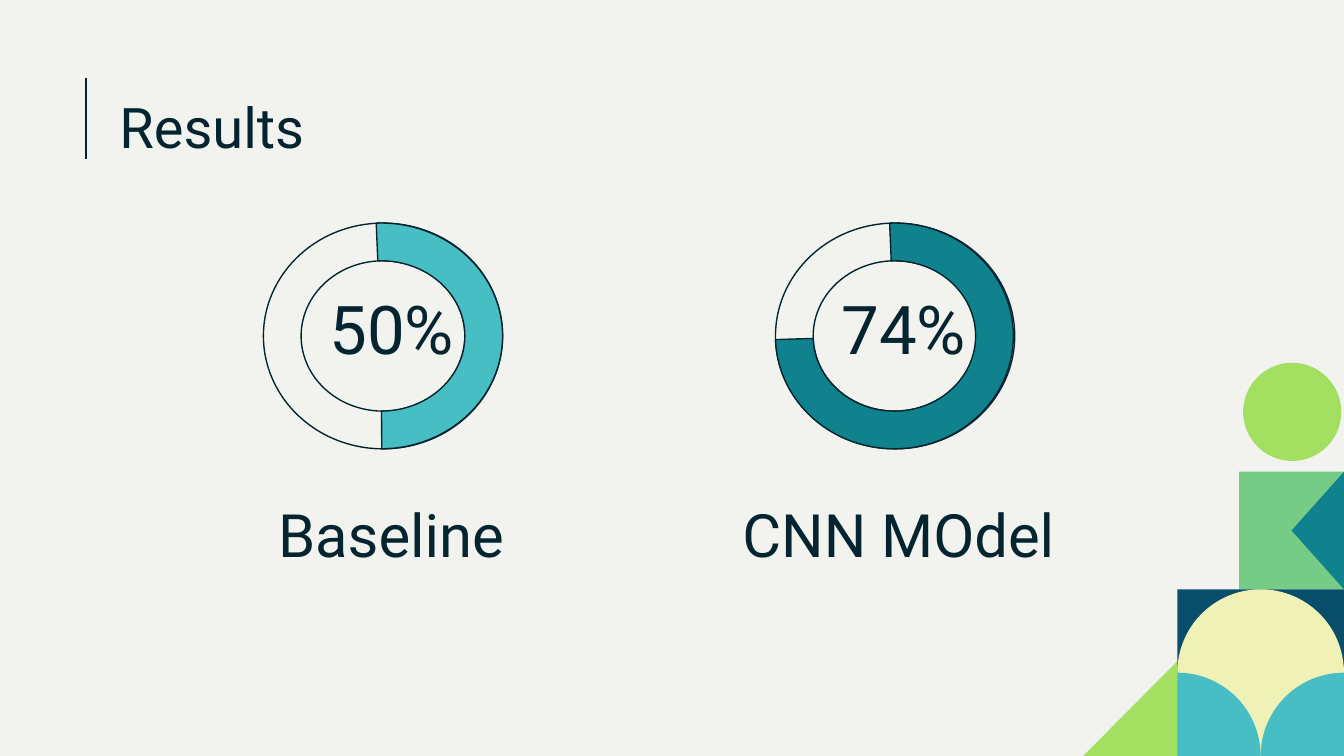
from math import cos, pi, sin

from lxml import etree
from pptx import Presentation
from pptx.dml.color import RGBColor
from pptx.enum.shapes import MSO_CONNECTOR, MSO_SHAPE
from pptx.enum.text import MSO_ANCHOR, PP_ALIGN
from pptx.oxml.ns import qn
from pptx.util import Inches, Pt

LEFT, CENTER = PP_ALIGN.LEFT, PP_ALIGN.CENTER
TOP, MIDDLE, BOTTOM = MSO_ANCHOR.TOP, MSO_ANCHOR.MIDDLE, MSO_ANCHOR.BOTTOM
RECT, OVAL = MSO_SHAPE.RECTANGLE, MSO_SHAPE.OVAL
DONUT, ARC = MSO_SHAPE.DONUT, MSO_SHAPE.BLOCK_ARC

FONT = "Roboto"
WIDTH = 10
HEIGHT = WIDTH * 9 / 16
COLORS = {
    "paper": "F2F3EE", "ink": "042530", "aqua": "47BEC4", "teal": "10828D",
    "green": "76CC86", "lime": "A3DF61", "navy": "084D6A", "cream": "F0F1B7",
    "blue": "1A6DDA", "sky": "39C6EA",
}

# Content: ring left, arc (left, width, start degrees), label (left, width)
TITLE = "Results"
RESULTS = [
    {"value": "50%", "name": "Baseline", "color": "aqua", "ring": 1.96,
     "arc": (1.93, 1.81, 90.41), "value_left": 2.17, "label": (1.72, 2.38)},
    {"value": "74%", "name": "CNN MOdel", "color": "teal", "ring": 5.77,
     "arc": (5.77, 1.77, 1.76), "value_left": 5.98, "label": (5.09, 3.19)},
]
RING_TOP, RING_WIDTH, RING_HEIGHT = 1.66, 1.78, 1.68
RING_SHARE, ARC_END = 0.167, 272.4
DEGREE = 0.6  # adjustment units in one degree

# Mosaic grid in the lower right corner
CELL = 0.62
COLS = [WIDTH - 2 * CELL, WIDTH - CELL]
ROWS = [HEIGHT - 2 * CELL, HEIGHT - CELL]
TILES = [(1, 1, "blue"), (1, 0, "navy"), (0, 0, "navy"), (0, 1, "sky")]
FLAG_LEFT, FLAG_TOP = 9.22, 3.51

deck = Presentation()
deck.slide_width, deck.slide_height = Inches(WIDTH), Inches(HEIGHT)
page = deck.slides.add_slide(deck.slide_layouts[6])


def rgb(name):
    return RGBColor.from_string(COLORS[name])


def paint(shape, fill=None, line=None):
    shape.shadow.inherit = False
    if fill:
        shape.fill.solid()
        shape.fill.fore_color.rgb = rgb(fill)
    else:
        shape.fill.background()
    if line:
        shape.line.color.rgb = rgb(line)
        shape.line.width = Pt(0.75)
    else:
        shape.line.fill.background()


def add_preset(kind, left, top, width, height, fill=None, line=None):
    shape = page.shapes.add_shape(
        kind, Inches(left), Inches(top), Inches(width), Inches(height))
    paint(shape, fill, line)
    return shape


def add_polygon(points, fill):
    corners = [(Inches(x), Inches(y)) for x, y in points]
    builder = page.shapes.build_freeform(*corners[0], scale=1.0)
    builder.add_line_segments(corners[1:], close=True)
    paint(builder.convert_to_shape(), fill)


def add_text(text, left, top, width, height, size, align, anchor):
    box = page.shapes.add_textbox(
        Inches(left), Inches(top), Inches(width), Inches(height))
    frame = box.text_frame
    frame.word_wrap = True
    frame.vertical_anchor = anchor
    frame.margin_left = frame.margin_right = Inches(0.1)
    frame.margin_top = frame.margin_bottom = Inches(0.1)
    para = frame.paragraphs[0]
    para.text = text
    para.alignment = align
    para.font.name, para.font.size = FONT, Pt(size)
    para.font.color.rgb = rgb("ink")


def quarter_disc(center_x, center_y, side):
    steps = 24
    angles = [pi / 2 * step / steps for step in range(steps + 1)]
    return [(center_x, center_y)] + [
        (center_x + side * CELL * cos(a), center_y - CELL * sin(a)) for a in angles]


# Background and title rule
page.background.fill.solid()
page.background.fill.fore_color.rgb = rgb("paper")
rule = page.shapes.add_connector(
    MSO_CONNECTOR.STRAIGHT, Inches(0.64), Inches(0.58), Inches(0.64), Inches(1.18))
rule.line.color.rgb = rgb("ink")
rule.line.width = Pt(0.75)
etree.SubElement(rule._element.spPr, qn("a:effectLst"))

# Flag, triangle and ball above the mosaic
flag_middle = (FLAG_LEFT + WIDTH) / 2
add_preset(RECT, FLAG_LEFT, FLAG_TOP, WIDTH - FLAG_LEFT, ROWS[0] - FLAG_TOP, "green")
add_polygon([(WIDTH, FLAG_TOP), (flag_middle, (FLAG_TOP + ROWS[0]) / 2),
             (WIDTH, ROWS[0])], "teal")
add_polygon([(COLS[0], 4.92), (8.06, HEIGHT), (COLS[0], HEIGHT)], "lime")
add_preset(OVAL, 9.25, 2.7, 0.73, 0.73, "lime")

# Mosaic
for col, row, color in TILES:
    add_preset(RECT, COLS[col], ROWS[row], CELL, CELL, color)
add_preset(OVAL, COLS[0], ROWS[0], 2 * CELL, 2 * CELL, "cream")
for corner, side in ((COLS[0], 1), (WIDTH, -1)):
    add_polygon(quarter_disc(corner, HEIGHT, side), "aqua")

# Title and results
add_text(TITLE, 0.79, 0.59, 8.43, 0.63, 30, LEFT, TOP)
for result in RESULTS:
    ring = add_preset(DONUT, result["ring"], RING_TOP, RING_WIDTH, RING_HEIGHT,
                      line="ink")
    ring.adjustments[0] = RING_SHARE
    left, width, start = result["arc"]
    arc = add_preset(ARC, left, RING_TOP, width, RING_HEIGHT, result["color"], "ink")
    for index, value in enumerate((start * DEGREE, ARC_END * DEGREE, RING_SHARE)):
        arc.adjustments[index] = value
    arc._element.spPr.xfrm.set("flipH", "1")
    add_text(result["value"], result["value_left"], 2.19, 1.49, 0.49, 36, CENTER, MIDDLE)
    left, width = result["label"]
    add_text(result["name"], left, 3.79, width, 0.55, 32, CENTER, BOTTOM)

deck.save("out.pptx")
